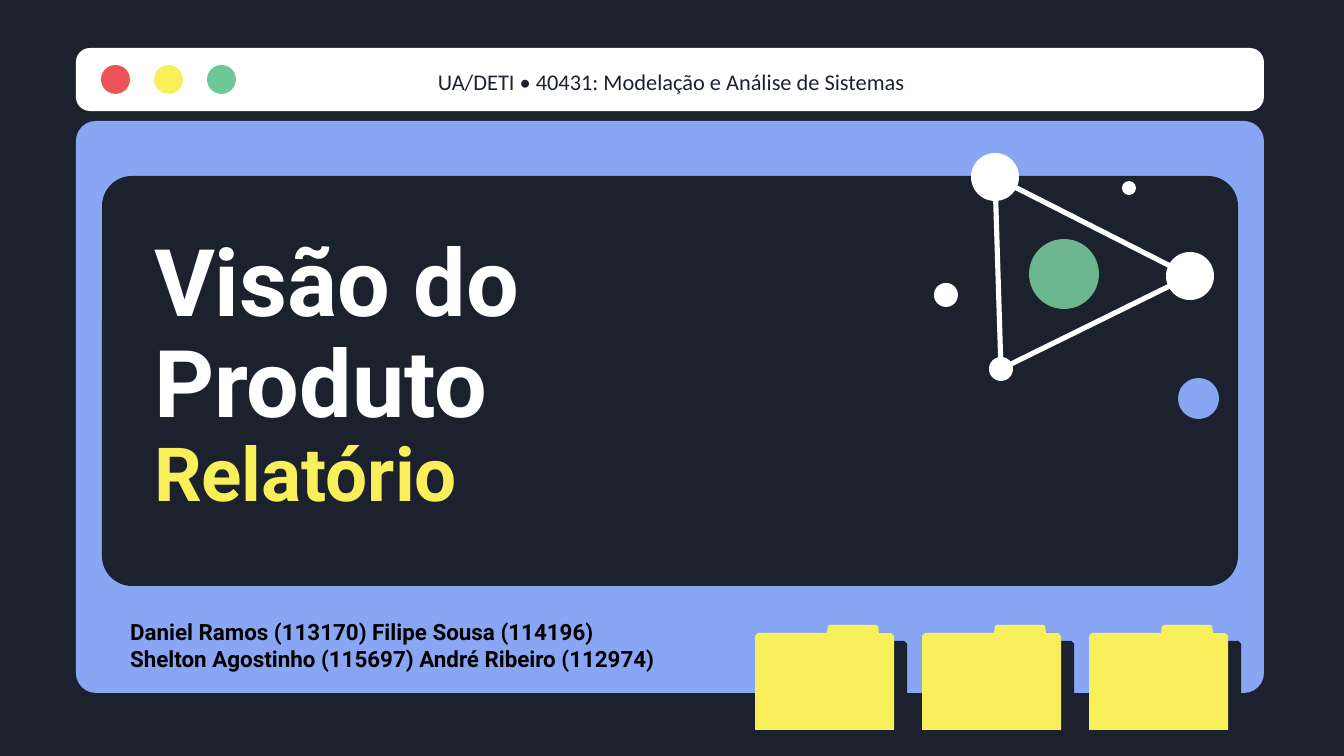
from itertools import combinations

from lxml.etree import SubElement
from pptx import Presentation
from pptx.dml.color import RGBColor
from pptx.enum.shapes import MSO_CONNECTOR, MSO_SHAPE
from pptx.enum.text import MSO_ANCHOR, MSO_AUTO_SIZE, PP_ALIGN
from pptx.oxml.ns import qn
from pptx.util import Emu, Pt

SCALE = 914400 / 134.4
NAVY = RGBColor(0x1B, 0x22, 0x2D)
BLUE = RGBColor(0x88, 0xA6, 0xF3)
YELLOW = RGBColor(0xF8, 0xEF, 0x5B)
RED = RGBColor(0xEB, 0x53, 0x58)
MINT = RGBColor(0x6D, 0xC7, 0x97)
GREEN = RGBColor(0x6B, 0xB6, 0x8E)
WHITE = RGBColor(0xFF, 0xFF, 0xFF)
BLACK = RGBColor(0, 0, 0)


def px(n):
    """Turn pixels into EMU."""
    return Emu(round(n * SCALE))


def paint(sp, color):
    """Give a shape a plain fill without line or shadow."""
    sp.shadow.inherit = False
    sp.fill.solid()
    sp.fill.fore_color.rgb = color
    sp.line.fill.background()


def add_panel(s, x, y, w, h, radius, color):
    """Add a rounded panel with a corner radius in pixels."""
    sp = s.shapes.add_shape(MSO_SHAPE.ROUNDED_RECTANGLE, px(x), px(y), px(w), px(h))
    sp.adjustments[0] = radius / min(w, h)
    paint(sp, color)


def add_disc(s, x, y, d, color):
    """Add a filled circle of diameter d."""
    paint(s.shapes.add_shape(MSO_SHAPE.OVAL, px(x), px(y), px(d), px(d)), color)


def set_font(p, name, size, color, bold=False):
    """Set the font of a paragraph."""
    p.font.name, p.font.size, p.font.bold = name, Pt(size), bold
    p.font.color.rgb = color


def place_text(sp, x, y, w, h, anchor):
    """Place a text shape, bring it to the front and return its frame."""
    sp.left, sp.top, sp.width, sp.height = px(x), px(y), px(w), px(h)
    sp.element.getparent().append(sp.element)
    tf = sp.text_frame
    tf.word_wrap, tf.auto_size, tf.vertical_anchor = True, MSO_AUTO_SIZE.NONE, anchor
    tf.margin_left = tf.margin_right = tf.margin_top = tf.margin_bottom = px(13)
    return tf


def add_window_bar(s, x, y, w, h):
    """Add the window bar with its three buttons and caption."""
    add_panel(s, x, y, w, h, 14, WHITE)
    for i, color in enumerate((RED, YELLOW, MINT)):
        add_disc(s, x + 25 + 53 * i, y + 17, 29, color)
    sp = s.shapes.add_textbox(0, 0, 0, 0)
    tf = place_text(sp, x + 293, y + 6, 605, 54, MSO_ANCHOR.MIDDLE)
    p = tf.paragraphs[0]
    p.text = "UA/DETI • 40431: Modelação e Análise de Sistemas"
    p.alignment = PP_ALIGN.CENTER
    set_font(p, "Calibri", 12, NAVY)


def add_network(s, x, y):
    """Add the triangle of linked nodes with its loose dots."""
    nodes = [(61, 24, 24), (256, 123, 24), (67, 216, 12)]
    dots = [(12, 142, 12), (195, 35, 7)]
    for (ax, ay, _), (bx, by, _) in combinations(nodes, 2):
        link = s.shapes.add_connector(
            MSO_CONNECTOR.STRAIGHT, px(x + ax), px(y + ay), px(x + bx), px(y + by))
        link.line.color.rgb, link.line.width = WHITE, Pt(2.75)
        SubElement(link.element.spPr, qn("a:effectLst"))
    for cx, cy, r in nodes + dots:
        add_disc(s, x + cx - r, y + cy - r, 2 * r, WHITE)
    add_disc(s, x + 95, y + 86, 70, GREEN)
    add_disc(s, x + 244, y + 225, 41, BLUE)


def add_folder(s, x, y):
    """Add a tabbed folder with a hard shadow."""
    outline = [(3, 8), (72, 8), (73, 1), (75, 0), (121, 0), (123, 1), (124, 8),
               (136, 8), (139, 11), (139, 105), (0, 105)]
    fb = s.shapes.build_freeform(0, 11, scale=SCALE)
    fb.add_line_segments(outline, close=True)
    sp = fb.convert_to_shape(px(x), px(y))
    paint(sp, YELLOW)
    effects = sp.element.spPr.find(qn("a:effectLst"))
    shadow = SubElement(effects, qn("a:outerShdw"), blurRad="0", dist=str(Pt(8.2)),
                        dir=str(31 * 60000), algn="bl", rotWithShape="0")
    SubElement(shadow, qn("a:srgbClr"), val=str(NAVY))


def add_title(s, x, y, w, h):
    """Fill the title placeholder with the title and its second line."""
    tf = place_text(s.shapes.title, x, y, w, h, MSO_ANCHOR.MIDDLE)
    p = tf.paragraphs[0]
    p.alignment, p.line_spacing = PP_ALIGN.LEFT, 0.9
    set_font(p, "Roboto", 50, WHITE, True)
    p.add_run().text = "Visão do Produto"
    p.add_line_break()
    r = p.add_run()
    r.text = "Relatório"
    r.font.size, r.font.color.rgb = Pt(40), YELLOW


def add_authors(s, x, y, w, h):
    """Fill the subtitle placeholder with the authors."""
    tf = place_text(s.placeholders[1], x, y, w, h, MSO_ANCHOR.TOP)
    tf.text = ("Daniel Ramos (113170) Filipe Sousa (114196)\n"
               "Shelton Agostinho (115697) André Ribeiro (112974)")
    for p in tf.paragraphs:
        p.alignment, p.space_before = PP_ALIGN.LEFT, Pt(0)
        set_font(p, "Roboto", 12, BLACK, True)


def build_cover(prs):
    """Build the cover slide."""
    s = prs.slides.add_slide(prs.slide_layouts[0])
    s.background.fill.solid()
    s.background.fill.fore_color.rgb = NAVY
    add_panel(s, 76, 121, 1188, 572, 20, BLUE)
    add_panel(s, 102, 176, 1136, 410, 30, NAVY)
    add_window_bar(s, 76, 48, 1188, 63)
    add_network(s, 934, 153)
    add_authors(s, 117, 605, 603, 74)
    add_title(s, 141, 191, 696, 372)
    for i in range(3):
        add_folder(s, 755 + 167 * i, 625)


prs = Presentation()
prs.slide_width, prs.slide_height = px(1344), px(756)
build_cover(prs)
prs.save("out.pptx")
